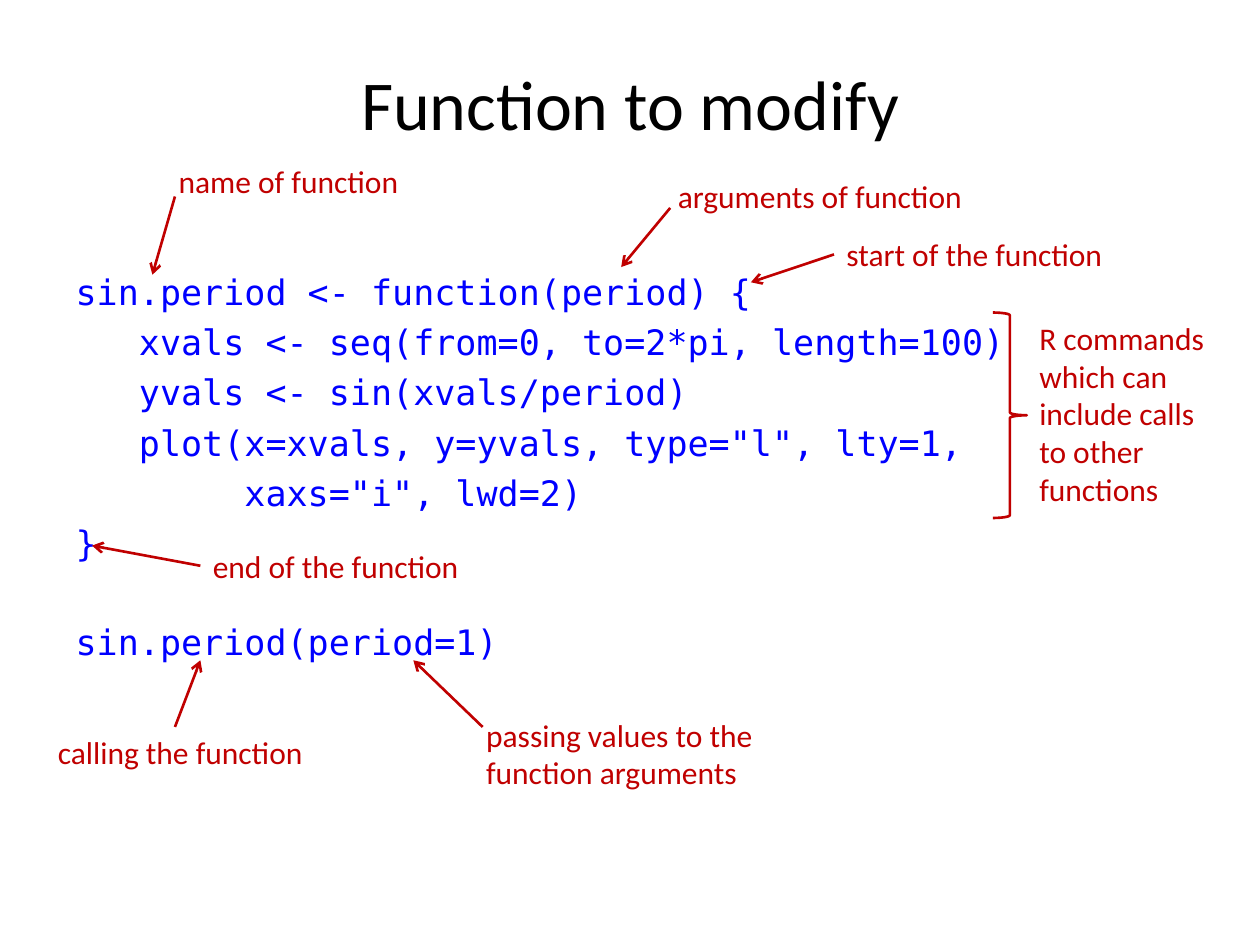
from dataclasses import dataclass

from lxml import etree
from pptx import Presentation
from pptx.dml.color import RGBColor
from pptx.enum.shapes import MSO_CONNECTOR, MSO_SHAPE
from pptx.enum.text import MSO_ANCHOR, MSO_AUTO_SIZE, PP_ALIGN
from pptx.oxml.ns import qn
from pptx.util import Pt

STRAIGHT = MSO_CONNECTOR.STRAIGHT
BRACE = MSO_SHAPE.RIGHT_BRACE
MIDDLE = MSO_ANCHOR.MIDDLE
FIT_SHAPE, NO_FIT = MSO_AUTO_SIZE.SHAPE_TO_FIT_TEXT, MSO_AUTO_SIZE.NONE
LEFT, CENTER = PP_ALIGN.LEFT, PP_ALIGN.CENTER


@dataclass(frozen=True)
class Theme:
    title: RGBColor = RGBColor(0, 0, 0)
    code: RGBColor = RGBColor(0, 0, 255)
    note: RGBColor = RGBColor(192, 0, 0)
    text_font: str = "Calibri"
    code_font: str = "DejaVu Sans Mono"
    title_size: int = 40
    code_size: int = 20
    note_size: int = 18
    line_width: float = 1.5


theme = Theme()


def add_run(p, text, font, size, color):
    r = p.add_run()
    r.text = text
    r.font.name = font
    r.font.size = Pt(size)
    r.font.color.rgb = color


def add_note(slide, text, box, align=LEFT):
    sp = slide.shapes.add_textbox(*map(Pt, box))
    tf = sp.text_frame
    tf.word_wrap = True
    tf.auto_size = FIT_SHAPE
    p = tf.paragraphs[0]
    p.alignment = align
    add_run(p, text, theme.text_font, theme.note_size, theme.note)
    return sp


prs = Presentation()
prs.slide_width, prs.slide_height = Pt(720), Pt(540)
s = prs.slides.add_slide(prs.slide_layouts[1])

title = s.shapes.title
title.left, title.top, title.width, title.height = map(Pt, (36, 21.6, 648, 74.2))
tf = title.text_frame
tf.vertical_anchor = MIDDLE
p = tf.paragraphs[0]
p.alignment = CENTER
add_run(p, "Function to modify", theme.text_font, theme.title_size, theme.title)

line_gap = 4.66
line_pitch = 27.94
code = [
    ("sin.period <- function(period) {", 0),
    ("   xvals <- seq(from=0, to=2*pi, length=100)", line_gap),
    ("   yvals <- sin(xvals/period)", line_gap),
    ('   plot(x=xvals, y=yvals, type="l", lty=1,', line_gap),
    ('        xaxs="i", lwd=2)', line_gap),
    ("}", line_gap),
    ("sin.period(period=1)", line_gap + line_pitch),
]
body = s.placeholders[1]
body.left, body.top, body.width, body.height = map(Pt, (36, 151, 648, 332))
tf = body.text_frame
tf.auto_size = NO_FIT
for i, (text, gap) in enumerate(code):
    p = tf.paragraphs[0] if i == 0 else tf.add_paragraph()
    pPr = p._p.get_or_add_pPr()
    pPr.set("marL", "0")
    pPr.set("indent", "0")
    etree.SubElement(pPr, qn("a:buNone"))
    p.space_before = Pt(gap)
    add_run(p, text, theme.code_font, theme.code_size, theme.code)

notes = [
    ("name of function", (95, 89.3, 145.4, 28.8), LEFT, (100, 112.3), (87.1, 157), False),
    ("arguments of function", (380.2, 97.9, 229, 28.8), LEFT, (383, 118.8), (355, 152.6), False),
    ("start of the function", (476.6, 131, 229, 28.8), LEFT, (476.6, 144), (429.1, 161.3), True),
    ("end of the function", (114.5, 308.9, 229, 28.8), LEFT, (114.5, 323.3), (52.6, 311.8), True),
    ("calling the function", (20.9, 415.4, 164.2, 28.8), CENTER, (100, 415.4), (114.5, 377.3), False),
    ("passing values to the function arguments", (270.7, 405.4, 225.4, 51.1), LEFT,
     (275.8, 415.4), (236.2, 377.3), False),
]
for text, box, align, start, end, joined in notes:
    sp = add_note(s, text, box, align)
    arrow = s.shapes.add_connector(STRAIGHT, *map(Pt, start + end))
    if joined:
        arrow.begin_connect(sp, 1)
    arrow.line.color.rgb = theme.note
    arrow.line.width = Pt(theme.line_width)
    etree.SubElement(arrow.line._get_or_add_ln(), qn("a:tailEnd"), type="arrow")
    etree.SubElement(arrow._element.spPr, qn("a:effectLst"))

brace = s.shapes.add_shape(BRACE, *map(Pt, (567.4, 178.6, 19.4, 117.4)))
brace.shadow.inherit = False
brace.fill.background()
brace.line.color.rgb = theme.note
brace.line.width = Pt(theme.line_width)
add_note(s, "R commands which can include calls to other functions", (586.8, 178.6, 114.5, 116.6))

prs.save("out.pptx")
